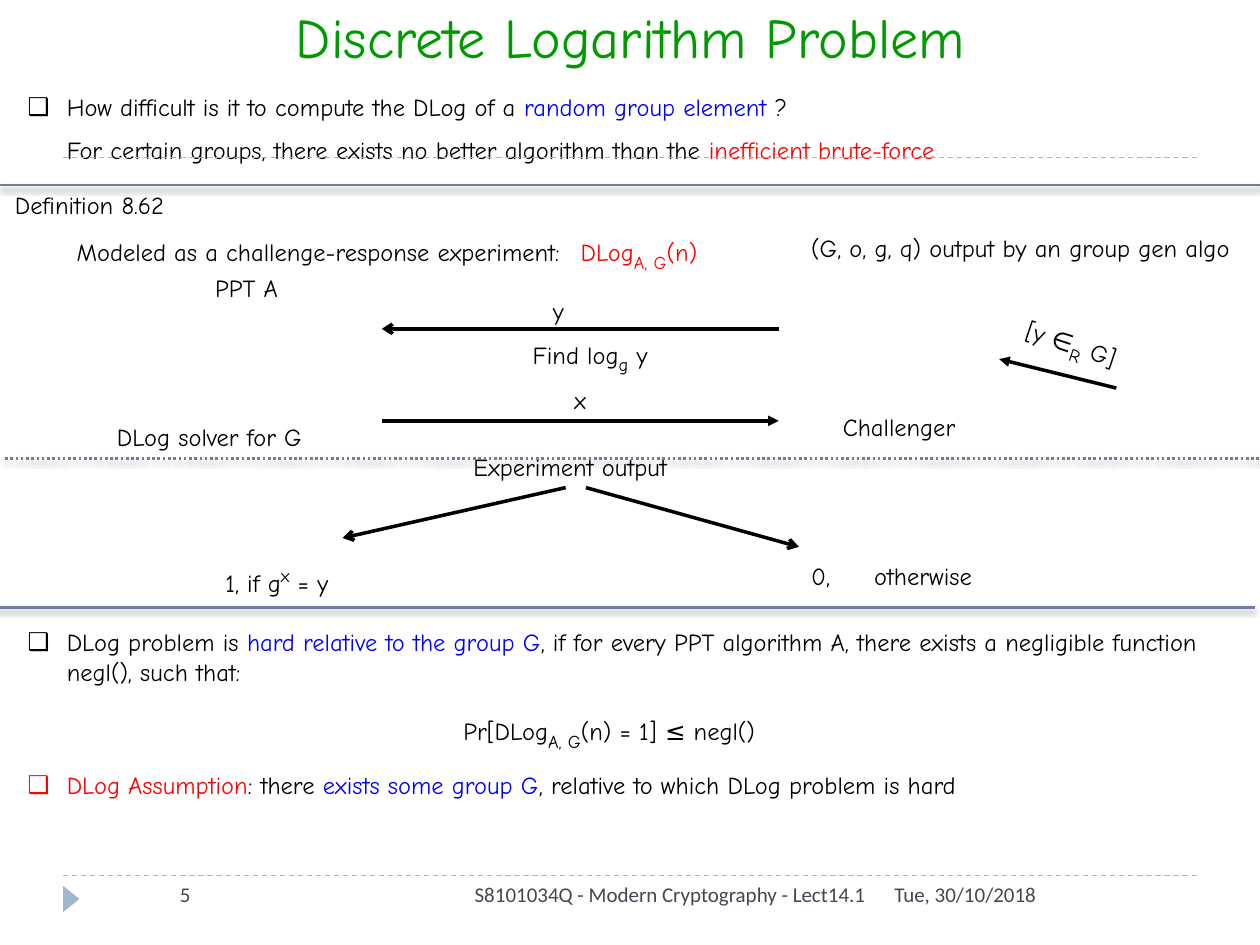
from lxml.etree import SubElement
from pptx import Presentation
from pptx.dml.color import RGBColor
from pptx.enum.dml import MSO_LINE
from pptx.enum.shapes import MSO_CONNECTOR, MSO_SHAPE
from pptx.enum.text import MSO_ANCHOR, MSO_AUTO_SIZE, PP_ALIGN
from pptx.oxml.ns import qn
from pptx.util import Inches, Pt

COLORS = {"black": "000000", "green": "009900", "blue": "0000FF", "red": "FF0000",
          "rule": "727CA3", "pale": "9FB8CD", "footer": "464653"}
SUB, SUPER = "-25000", "30000"

deck = Presentation()
deck.slide_width, deck.slide_height = Inches(10), Inches(7.5)
page = deck.slides.add_slide(deck.slide_layouts.get_by_name("Comparison"))


def write(box, place, runs, size=14, font="Comic Neue", align=PP_ALIGN.LEFT, bullet=False, tab=None):
    """Place a box and fill its one paragraph with (text, colour, baseline) runs."""
    box.left, box.top, box.width, box.height = (Inches(value) for value in place)
    frame = box.text_frame
    frame.word_wrap = True
    frame.auto_size = MSO_AUTO_SIZE.NONE
    frame.vertical_anchor = MSO_ANCHOR.TOP
    para = frame.paragraphs[0]
    para.alignment = align
    para.space_before = Pt(0)
    properties = para._p.get_or_add_pPr()
    indent = Inches(0.31) if bullet else 0
    properties.set("marL", str(indent))
    properties.set("indent", str(-indent))
    if bullet:
        SubElement(properties, qn("a:buChar"), char="❑")
    else:
        SubElement(properties, qn("a:buNone"))
    if tab:
        stops = SubElement(properties, qn("a:tabLst"))
        SubElement(stops, qn("a:tab"), pos=str(Inches(tab)), algn="l")
    for text, color, *baseline in runs:
        span = para.add_run()
        span.text = text
        span.font.name = font
        span.font.size = Pt(18 if baseline else size)
        span.font.bold = False
        span.font.color.rgb = RGBColor.from_string(COLORS[color])
        if baseline:
            span.font._element.set("baseline", baseline[0])


def draw_line(start, end, color, width, dash=None, arrow=None):
    """Draw a straight line and return its empty effect list."""
    line = page.shapes.add_connector(MSO_CONNECTOR.STRAIGHT, *(Inches(value) for value in start + end))
    line.line.color.rgb = RGBColor.from_string(COLORS[color])
    line.line.width = Pt(width)
    if dash:
        line.line.dash_style = dash
    if arrow:
        SubElement(line.line._get_or_add_ln(), qn("a:tailEnd"), type=arrow)
    return SubElement(line._element.spPr, qn("a:effectLst"))


# Dashed guides and the footer marker
for y in (6.95, 1.25):
    draw_line((0.5, y), (9.5, y), "pale", 0.75, dash=MSO_LINE.DASH)
marker = page.shapes.add_shape(MSO_SHAPE.ISOSCELES_TRIANGLE, Inches(0.46), Inches(7.07), Inches(0.21), Inches(0.13))
marker.rotation = 90
marker.shadow.inherit = False
marker.fill.solid()
marker.fill.fore_color.rgb = RGBColor.from_string(COLORS["pale"])
marker.line.fill.background()

# Title and statements
write(page.shapes.title, (1.62, -0.03, 6.77, 0.47), [("Discrete Logarithm Problem", "green")],
      size=32, align=PP_ALIGN.CENTER)
statements = [
    ((0.12, 0.68, 9.69, 0.34), True,
     [("How difficult is it to compute the DLog of a ", "black"), ("random group element ", "blue"), ("?", "black")]),
    ((0.43, 1.02, 8.03, 0.34), False,
     [("For certain groups, there exists no better algorithm than the ", "black"),
      ("inefficient brute-force", "red")]),
    ((0.12, 4.93, 9.69, 0.57), True,
     [("DLog problem is ", "black"), ("hard relative to the group G", "blue"),
      (", if for every PPT algorithm A, there exists a negligible function negl(), such that:", "black")]),
    ((0.12, 6.06, 9.69, 0.34), True,
     [("DLog Assumption", "red"), (": there ", "black"), ("exists some group G", "blue"),
      (", relative to which DLog problem is hard", "black")]),
]
bodies = [box for box in page.placeholders if box.placeholder_format.idx > 0]
for body, (place, bullet, runs) in zip(bodies, statements):
    write(body, place, runs, bullet=bullet)

# Experiment labels: left, top, width, runs
labels = [
    (3.58, 5.58, 4.25, [("Pr[DLog", "black"), ("A, G", "black", SUB), ("(n) = 1] ≤ negl()", "black")]),
    (6.34, 1.8, 3.7, [("(G, o, g, q) output by an group gen algo", "black")]),
    (0.83, 3.3, 2.44, [("DLog solver for G", "black")]),
    (1.61, 2.12, 2.05, [("PPT A", "black")]),
    (6.59, 3.22, 1.82, [("Challenger", "black")]),
    (4.29, 2.3, 0.79, [("y", "black")]),
    (4.13, 2.59, 1.34, [("Find log", "black"), ("g", "black", SUB), (" y", "black")]),
    (4.46, 3.01, 0.79, [("x", "black")]),
    (3.66, 3.54, 1.97, [("Experiment output", "black")]),
    (1.69, 4.4, 1.97, [("1, if g", "black"), ("x", "black", SUPER), (" = y", "black")]),
    (0.02, 1.46, 1.58, [("Definition 8.62", "black")]),
]
for left, top, width, runs in labels:
    write(page.shapes.add_textbox(0, 0, 0, 0), (left, top, width, 0.34), runs)

# Labels with a tab gap
write(page.shapes.add_textbox(0, 0, 0, 0), (0.51, 1.78, 9.13, 0.34),
      [("Modeled as a challenge-response experiment:\t", "black"), ("DLog", "red"),
       ("A, G", "red", SUB), ("(n)", "red")], tab=4.03)
write(page.shapes.add_textbox(0, 0, 0, 0), (6.34, 4.4, 1.97, 0.34), [("0,\totherwise", "black")], tab=0.28)

# Tilted label of the random choice
choice = page.shapes.add_textbox(0, 0, 0, 0)
write(choice, (8.05, 2.52, 1.01, 0.34), [("[y ∈", "black"), ("R", "black", SUB), (" G]", "black")])
choice.rotation = 18.4

# Arrows of the experiment
arrows = [
    ((8.86, 3.08), (7.93, 2.85), "triangle"),
    ((6.18, 2.61), (3.03, 2.61), "arrow"),
    ((3.03, 3.34), (6.18, 3.34), "triangle"),
    ((4.49, 3.87), (2.72, 4.27), "arrow"),
    ((4.65, 3.87), (6.34, 4.34), "arrow"),
]
for start, end, head in arrows:
    draw_line(start, end, "black", 2, arrow=head)

# Section rules with a soft shadow
for left, y, dash in ((0, 1.47, None), (-0.04, 4.82, None), (0.04, 3.64, MSO_LINE.ROUND_DOT)):
    effects = draw_line((left, y), (left + 10, y), "rule", 1.5, dash=dash)
    shadow = SubElement(effects, qn("a:outerShdw"), blurRad=str(Pt(3)), dist=str(Pt(2)),
                        dir="5400000", rotWithShape="0")
    shade = SubElement(shadow, qn("a:srgbClr"), val=COLORS["black"])
    SubElement(shade, qn("a:alpha"), val="40000")

# Footer
footers = [
    (7, 2.5, "Tue, 30/10/2018", PP_ALIGN.LEFT),
    (1.33, 1.33, "5", PP_ALIGN.LEFT),
    (2.97, 4, "S8101034Q - Modern Cryptography - Lect14.1", PP_ALIGN.RIGHT),
]
for left, width, text, align in footers:
    write(page.shapes.add_textbox(0, 0, 0, 0), (left, 6.95, width, 0.4), [(text, "footer")],
          size=12, font="Calibri", align=align)

deck.save("out.pptx")
